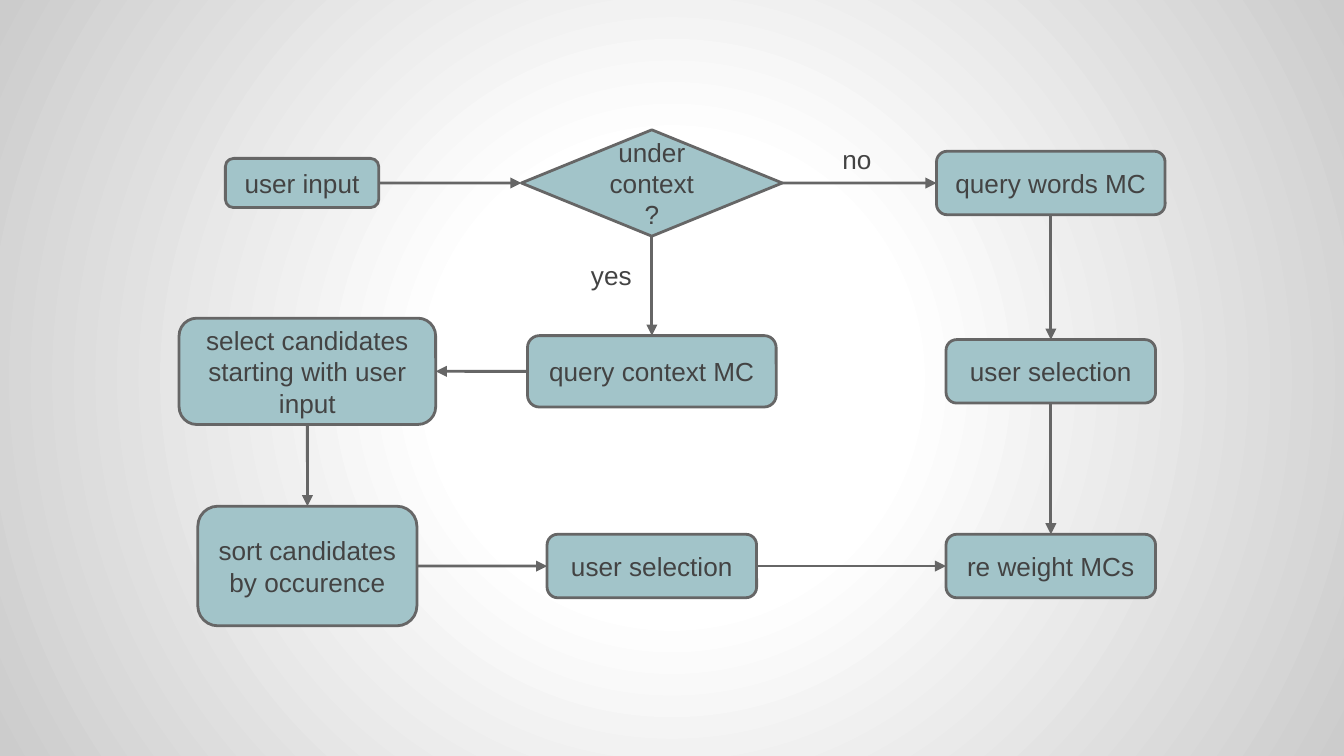
from lxml import etree
from pptx import Presentation
from pptx.dml.color import RGBColor
from pptx.enum import shapes, text
from pptx.oxml import parse_xml
from pptx.oxml.ns import nsdecls, qn
from pptx.util import Cm, Pt

TEAL = RGBColor(0xA2, 0xC4, 0xC9)
GREY = RGBColor(0x66, 0x66, 0x66)
INK = RGBColor(0x43, 0x43, 0x43)
WHITE = RGBColor(0xFF, 0xFF, 0xFF)
SILVER = RGBColor(0xCC, 0xCC, 0xCC)

# Centres of the flow's columns and rows, in cm
LEFT, MIDDLE, RIGHT = 5.81, 12.32, 19.86
TOP, CENTRE, BOTTOM = 3.46, 7.02, 10.7

# Connection sites of a box
UP, WEST, DOWN, EAST = range(4)

SMALL = (3.96, 1.2)
BOX = shapes.MSO_SHAPE.ROUNDED_RECTANGLE
DECISION = shapes.MSO_SHAPE.FLOWCHART_DECISION


def paint_background(slide):
    """Radial gradient from a white centre to silver corners."""
    slide.background.fill.solid()
    solid = next(slide.element.iter(qn("a:solidFill")))
    stops = "".join(
        f'<a:gs pos="{pos * 1000}"><a:srgbClr val="{color}"/></a:gs>'
        for pos, color in ((0, WHITE), (30, WHITE), (100, SILVER))
    )
    gradient = parse_xml(
        f'<a:gradFill {nsdecls("a")}><a:gsLst>{stops}</a:gsLst>'
        '<a:path path="circle">'
        '<a:fillToRect l="50000" t="50000" r="50000" b="50000"/>'
        "</a:path></a:gradFill>"
    )
    solid.getparent().replace(solid, gradient)


def write(shape, words, size=14, color=INK, align=text.PP_ALIGN.CENTER,
          anchor=text.MSO_ANCHOR.MIDDLE):
    frame = shape.text_frame
    frame.word_wrap = True
    frame.vertical_anchor = anchor
    frame.margin_left = frame.margin_right = Cm(0.25)
    frame.margin_top = frame.margin_bottom = Cm(0.25)
    paragraph = frame.paragraphs[0]
    paragraph.alignment = align
    run = paragraph.add_run()
    run.text = words
    run.font.name = "Arial"
    run.font.size = Pt(size)
    run.font.color.rgb = color


def add_step(slide, words, x, y, size, kind=BOX):
    """A box of the flow, centred on x, y."""
    width, height = size
    step = slide.shapes.add_shape(
        kind, Cm(x - width / 2), Cm(y - height / 2), Cm(width), Cm(height))
    step.shadow.inherit = False
    step.fill.solid()
    step.fill.fore_color.rgb = TEAL
    step.line.color.rgb = GREY
    step.line.width = Pt(1.5)
    write(step, words)
    return step


def add_label(slide, words, left, top):
    label = slide.shapes.add_textbox(Cm(left), Cm(top), Cm(1.57), Cm(0.64))
    write(label, words, align=text.PP_ALIGN.LEFT, anchor=text.MSO_ANCHOR.TOP)


def add_arrow(slide, start, start_site, end, end_site):
    arrow = slide.shapes.add_connector(
        shapes.MSO_CONNECTOR.STRAIGHT, 0, 0, 0, 0)
    arrow.begin_connect(start, start_site)
    arrow.end_connect(end, end_site)
    arrow.line.color.rgb = GREY
    arrow.line.width = Pt(1.5)
    line = arrow.line._get_or_add_ln()
    etree.SubElement(line, qn("a:tailEnd"), type="triangle")
    etree.SubElement(arrow._element.spPr, qn("a:effectLst"))


def main():
    deck = Presentation()
    deck.slide_width, deck.slide_height = Cm(25.4), Cm(14.29)
    slide = deck.slides.add_slide(deck.slide_layouts[6])
    paint_background(slide)

    # Input and decision
    user_input = add_step(slide, "user input", 5.71, TOP, (2.9, 0.93))
    decision = add_step(slide, "under context ?", MIDDLE, TOP, (4.93, 2.01),
                        kind=DECISION)

    # Branch without context
    query_words = add_step(slide, "query words MC", RIGHT, TOP, (4.32, 1.2))
    word_choice = add_step(slide, "user selection", RIGHT, CENTRE, SMALL)

    # Branch within context
    query_context = add_step(slide, "query context MC", MIDDLE, CENTRE,
                             (4.7, 1.35))
    select = add_step(slide, "select candidates starting with user input",
                      LEFT, CENTRE, (4.85, 2.01))
    sort = add_step(slide, "sort candidates by occurence", LEFT, BOTTOM,
                    (4.14, 2.26))
    context_choice = add_step(slide, "user selection", MIDDLE, BOTTOM, SMALL)

    # Common end
    re_weight = add_step(slide, "re weight MCs", RIGHT, BOTTOM, SMALL)

    # Arrows of the flow
    for link in (
        (user_input, EAST, decision, WEST),
        (decision, EAST, query_words, WEST),
        (query_words, DOWN, word_choice, UP),
        (word_choice, DOWN, re_weight, UP),
        (decision, DOWN, query_context, UP),
        (query_context, WEST, select, EAST),
        (select, DOWN, sort, UP),
        (sort, EAST, context_choice, WEST),
        (context_choice, EAST, re_weight, WEST),
    ):
        add_arrow(slide, *link)

    # Answers to the decision
    add_label(slide, "no", 15.67, 2.46)
    add_label(slide, "yes", 10.92, 4.65)

    deck.save("out.pptx")


if __name__ == "__main__":
    main()
